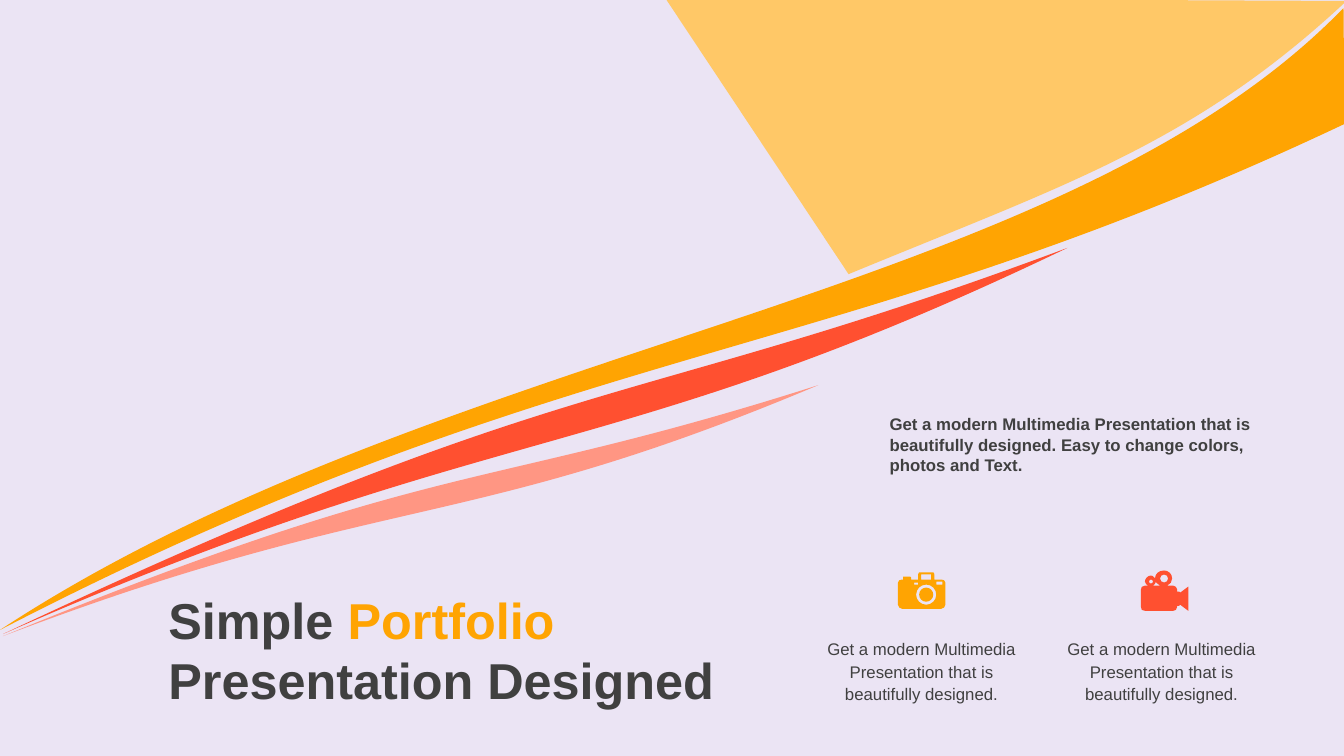
import math

from lxml import etree
from pptx import Presentation, util as u
from pptx.dml.color import RGBColor
from pptx.enum import text
from pptx.oxml.ns import qn

COLORS = {
    "background": "EBE4F4",
    "panel": "FFC867",
    "amber": "FFA402",
    "red": "FF5030",
    "salmon": "FF9683",
    "dark": "404040",
}
FONT = "Arial"
UNITS = 1000  # outline units per inch
CAPTION = "Get a modern Multimedia Presentation that is beautifully designed."

# Outlines in inches: M starts a contour, L is a line, C a cubic curve
PANEL = "M 6.6 -.02 L 8.42 2.72 C 10.55 1.84 11.84 1.43 13.36 .01"
AMBER_BAND = "M 0 6.25 C 4.37 3.38 10.49 3.01 13.33 .08 L 13.34 1.23 C 8.16 3.68 5.67 3.32 0 6.25"
RED_BAND = "M .03 6.29 C 4.99 4.11 6.03 4.65 10.59 2.46 C 6.16 4.11 5.76 3.59 .03 6.29"
SALMON_BAND = "M .03 6.31 C 3.85 4.86 4.61 5.3 8.12 3.82 C 4.73 4.9 4.44 4.5 .03 6.31"
CAMERA_BODY = (
    "M 9.12 5.68 L 9.26 5.68 C 9.27 5.68 9.27 5.69 9.27 5.7 L 9.27 5.75 L 9.34 5.75 "
    "C 9.36 5.75 9.38 5.76 9.38 5.78 L 9.38 6 C 9.38 6.02 9.36 6.04 9.34 6.04 "
    "L 8.95 6.04 C 8.93 6.04 8.91 6.02 8.91 6 L 8.91 5.78 "
    "C 8.91 5.76 8.93 5.75 8.95 5.75 L 8.96 5.75 L 8.96 5.73 "
    "C 8.96 5.72 8.96 5.72 8.96 5.72 L 9.03 5.72 C 9.03 5.72 9.04 5.72 9.04 5.73 "
    "L 9.04 5.75 L 9.11 5.75 L 9.11 5.7 C 9.11 5.69 9.12 5.68 9.12 5.68 "
)
VIDEO_BODY = (
    "M 11.55 5.66 C 11.59 5.66 11.63 5.69 11.63 5.74 C 11.63 5.77 11.61 5.8 11.58 5.81 "
    "L 11.64 5.81 C 11.66 5.81 11.68 5.83 11.68 5.85 L 11.68 5.87 L 11.7 5.87 "
    "C 11.71 5.87 11.71 5.88 11.71 5.88 L 11.79 5.82 L 11.79 6.06 L 11.71 6 "
    "C 11.71 6 11.71 6.01 11.7 6.01 L 11.68 6.01 L 11.68 6.02 "
    "C 11.68 6.05 11.66 6.06 11.64 6.06 L 11.36 6.06 C 11.33 6.06 11.32 6.05 11.32 6.02 "
    "L 11.32 5.85 C 11.32 5.83 11.33 5.81 11.36 5.81 L 11.39 5.81 "
    "C 11.38 5.8 11.36 5.79 11.36 5.77 C 11.36 5.74 11.39 5.71 11.42 5.71 "
    "C 11.44 5.71 11.47 5.74 11.47 5.77 C 11.47 5.79 11.45 5.8 11.44 5.81 L 11.51 5.81 "
    "C 11.48 5.8 11.46 5.77 11.46 5.74 C 11.46 5.69 11.5 5.66 11.55 5.66 "
)


def rgb(name):
    return RGBColor.from_string(COLORS[name])


def circle(x, y, r):
    k = 0.55 * r
    return (f"M {x} {y - r} C {x + k} {y - r} {x + r} {y - k} {x + r} {y} "
            f"C {x + r} {y + k} {x + k} {y + r} {x} {y + r} "
            f"C {x - k} {y + r} {x - r} {y + k} {x - r} {y} "
            f"C {x - r} {y - k} {x - k} {y - r} {x} {y - r} ")


def box(x1, y1, x2, y2):
    return f"M {x1} {y1} L {x1} {y2} L {x2} {y2} L {x2} {y1} "


def read_contours(outline, angle, center):
    """Return the points of each contour, turned back by angle, and the segment kinds."""
    turn = math.radians(-angle)
    cx, cy = center
    contours, kinds = [], []
    for contour in outline.split("M")[1:]:
        tokens = contour.split()
        kinds += [t for t in tokens if t in "LC"]
        numbers = [float(t) for t in tokens if t not in "LC"]
        points = []
        for x, y in zip(numbers[::2], numbers[1::2]):
            dx, dy = x - cx, y - cy
            points.append(((cx + dx * math.cos(turn) - dy * math.sin(turn)) * UNITS,
                           (cy + dx * math.sin(turn) + dy * math.cos(turn)) * UNITS))
        contours.append(points)
    return contours, kinds


def add_outline(s, outline, color, angle=0, center=(0, 0)):
    contours, kinds = read_contours(outline, angle, center)
    builder = s.shapes.build_freeform(*contours[0][0], scale=u.Cm(2.54) / UNITS)
    for i, points in enumerate(contours):
        if i:
            builder.move_to(*points[0])
        builder.add_line_segments(points[1:], close=True)
    sp = builder.convert_to_shape()

    # Join each three points of a curve into one cubic segment
    lines = iter(list(sp._element.iter(qn("a:lnTo"))))
    for kind in kinds:
        first = next(lines)
        if kind == "C":
            curve = etree.Element(qn("a:cubicBezTo"))
            first.addprevious(curve)
            for line in (first, next(lines), next(lines)):
                curve.append(line[0])
                line.getparent().remove(line)

    sp.rotation = angle
    sp.shadow.inherit = False
    sp.fill.solid()
    sp.fill.fore_color.rgb = rgb(color)
    sp.line.fill.background()


def add_run(p, words, size, color, bold=False):
    r = p.add_run()
    r.text = words
    r.font.name = FONT
    r.font.size = u.Pt(size)
    r.font.bold = bold
    r.font.color.rgb = rgb(color)


def add_title(s):
    sp = s.shapes.title
    sp.left, sp.top, sp.width, sp.height = u.Cm(3.99), u.Cm(14.43), u.Cm(15.11), u.Cm(3.86)
    tf = sp.text_frame
    tf.word_wrap = True
    tf.auto_size = text.MSO_AUTO_SIZE.NONE
    tf.vertical_anchor = text.MSO_ANCHOR.MIDDLE
    p = tf.paragraphs[0]
    p.alignment = text.PP_ALIGN.LEFT
    for words, color in (("Simple ", "dark"), ("Portfolio ", "amber"),
                         ("Presentation Designed", "dark")):
        add_run(p, words, 36, color, bold=True)


def add_text(s, words, left, top, width, height, bold=False, align=None, spacing=None):
    sp = s.shapes.add_textbox(u.Cm(left), u.Cm(top), u.Cm(width), u.Cm(height))
    tf = sp.text_frame
    tf.word_wrap = True
    tf.auto_size = text.MSO_AUTO_SIZE.SHAPE_TO_FIT_TEXT
    p = tf.paragraphs[0]
    p.alignment = align
    p.line_spacing = spacing
    add_run(p, words, 12, "dark", bold)


def main():
    prs = Presentation()
    prs.slide_width, prs.slide_height = u.Cm(33.87), u.Cm(19.05)
    s = prs.slides.add_slide(prs.slide_layouts[5])
    s.background.fill.solid()
    s.background.fill.fore_color.rgb = rgb("background")

    # Sweeping bands
    add_outline(s, PANEL, "panel")
    add_outline(s, AMBER_BAND, "amber")
    add_outline(s, RED_BAND, "red", 5, (5.31, 4.37))
    add_outline(s, SALMON_BAND, "salmon", 7.8, (4.08, 5.07))

    # Title and introduction
    add_title(s)
    add_text(s, CAPTION + " Easy to change colors, photos and Text.",
             22.17, 10.31, 10.57, 1.8, bold=True)

    # Icons with captions
    camera = (circle(9.19, 5.9, 0.07) + circle(9.19, 5.9, 0.1)
              + box(9.07, 5.78, 9.11, 5.8) + box(9.29, 5.77, 9.35, 5.8)
              + box(9.14, 5.7, 9.24, 5.75) + CAMERA_BODY)
    video = circle(11.42, 5.77, 0.02) + circle(11.55, 5.74, 0.04) + VIDEO_BODY
    for icon, color, left in ((camera, "amber", 20.29), (video, "red", 26.34)):
        add_outline(s, icon, color)
        add_text(s, CAPTION, left, 15.93, 5.87, 1.9,
                 align=text.PP_ALIGN.CENTER, spacing=1.1)

    prs.save("out.pptx")


if __name__ == "__main__":
    main()
